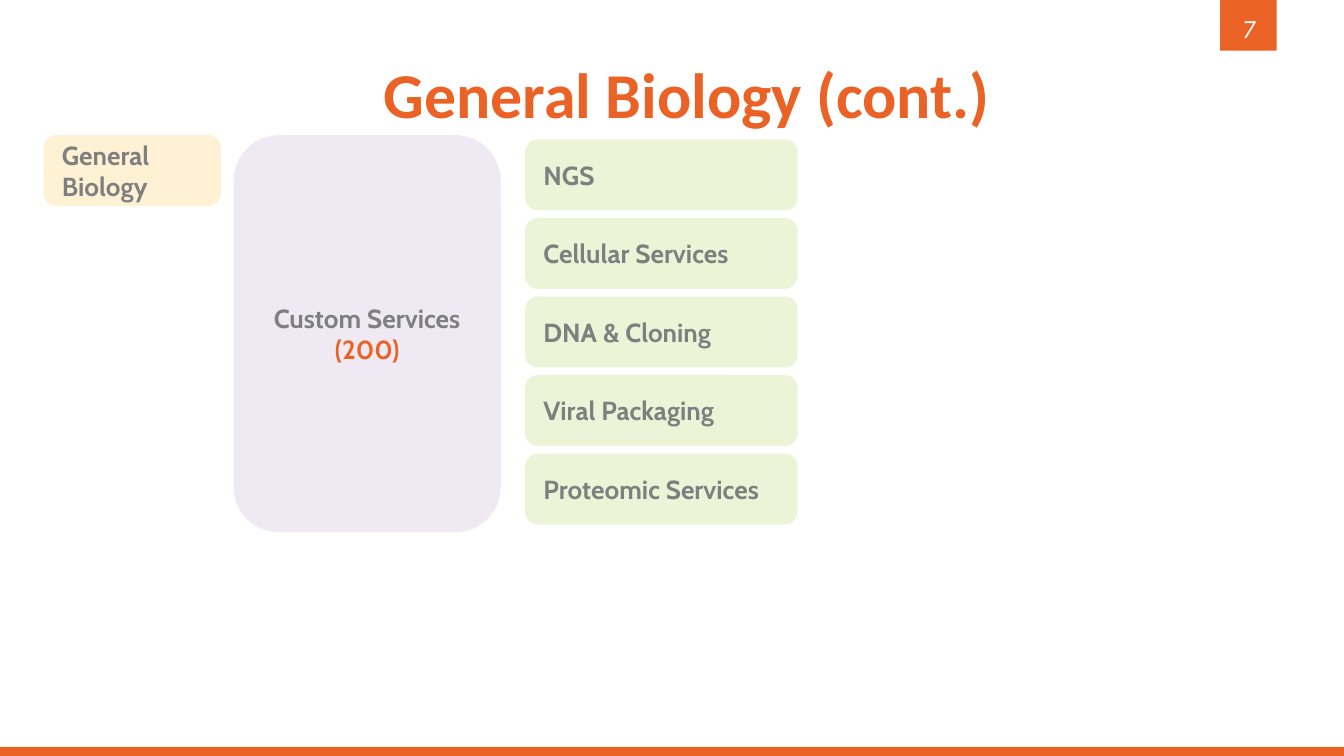
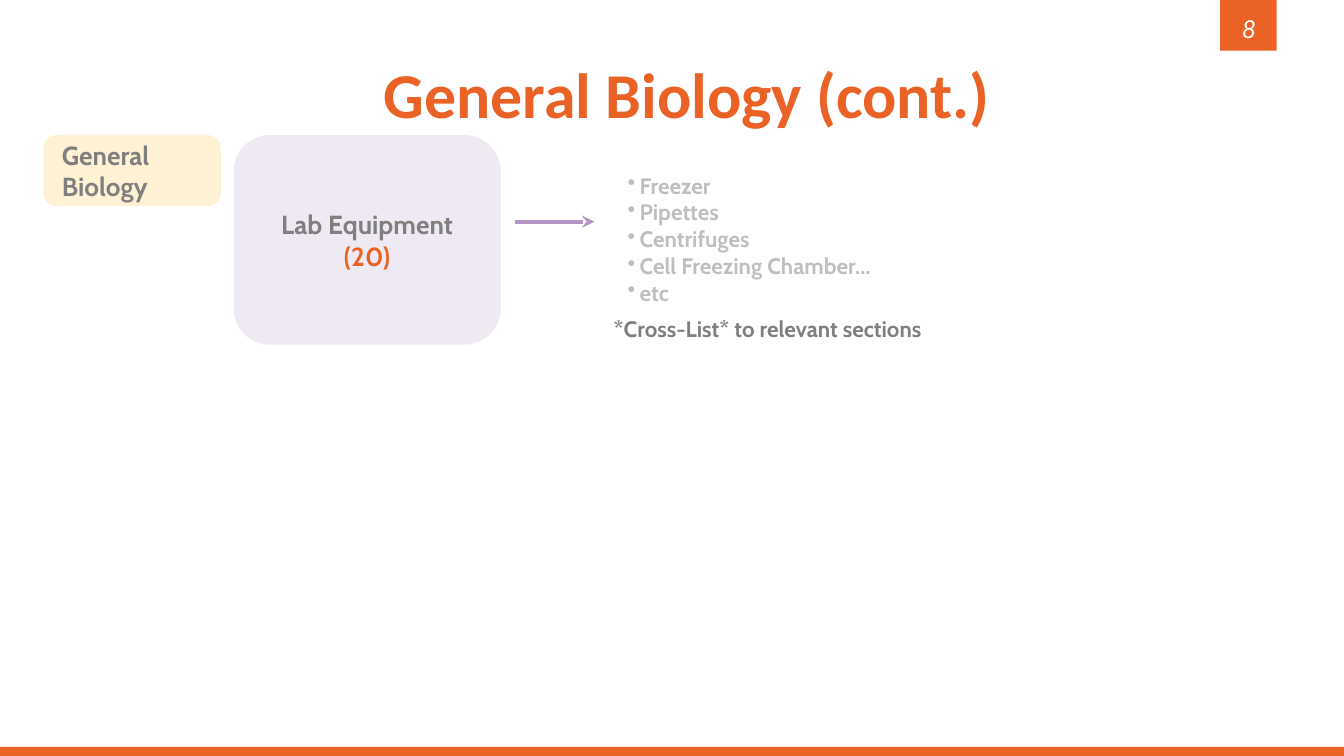
import pptx
import pptx.util
import pptx.oxml
import pptx.oxml.ns
import pptx.dml.color
import pptx.enum.shapes
import pptx.enum.text
from lxml import etree

Cm = pptx.util.Cm
Pt = pptx.util.Pt
RGBColor = pptx.dml.color.RGBColor
MSO_SHAPE = pptx.enum.shapes.MSO_SHAPE
PP_ALIGN = pptx.enum.text.PP_ALIGN
MSO_ANCHOR = pptx.enum.text.MSO_ANCHOR
qn = pptx.oxml.ns.qn

ORANGE = RGBColor(0xEA, 0x62, 0x25)
WHITE = RGBColor(0xFF, 0xFF, 0xFF)
GRAY = RGBColor(0x7F, 0x7F, 0x7F)
LIGHT_GRAY = RGBColor(0xBF, 0xBF, 0xBF)
CREAM = RGBColor(0xFF, 0xF2, 0xD4)
LILAC = RGBColor(0xEF, 0xE9, 0xF3)
LIME = RGBColor(0xED, 0xF3, 0xD6)
PURPLE = RGBColor(0xB3, 0x94, 0xC5)

HEAD_FONT = "Calibri"
BODY_FONT = "Cabin"

SLIDE_W, SLIDE_H = 25.4, 14.29
BAR_H = 0.17
BADGE = (23.06, 0, 1.07, 0.96)
TITLE = (1.55, 0.99, 22.86, 1.52)
TAG = (0.86, 2.59, 3.28, 1.27)
CATEGORY_X, CATEGORY_Y, CATEGORY_W = 4.45, 2.59, 4.98
SERVICE_H = 1.27
BULLET_INDENT = 0.23


def cm(box):
    return [Cm(v) for v in box]


def add_run(p, text, color=GRAY, size=14, font=BODY_FONT, bold=True, italic=False):
    r = p.add_run()
    r.text = text
    r.font.name = font
    r.font.size = Pt(size)
    r.font.bold = bold
    r.font.italic = italic
    r.font.color.rgb = color


def add_text(s, box, anchor=MSO_ANCHOR.TOP):
    tf = s.shapes.add_textbox(*cm(box)).text_frame
    tf.word_wrap = True
    tf.vertical_anchor = anchor
    return tf


def add_block(s, kind, box, fill):
    sp = s.shapes.add_shape(kind, *cm(box))
    sp.shadow.inherit = False
    sp.fill.solid()
    sp.fill.fore_color.rgb = fill
    sp.line.fill.background()
    return sp


def add_card(s, box, fill, paragraphs, align=PP_ALIGN.LEFT):
    sp = add_block(s, MSO_SHAPE.ROUNDED_RECTANGLE, box, fill)
    sp.line.color.rgb = fill
    sp.line.width = Pt(2)
    tf = sp.text_frame
    tf.word_wrap = True
    tf.vertical_anchor = MSO_ANCHOR.MIDDLE
    for i, runs in enumerate(paragraphs):
        p = tf.add_paragraph() if i else tf.paragraphs[0]
        p.alignment = align
        for text, color in runs:
            add_run(p, text, color)


def add_frame(prs, number):
    s = prs.slides.add_slide(prs.slide_layouts[6])
    add_block(s, MSO_SHAPE.RECTANGLE, (0, SLIDE_H - BAR_H, SLIDE_W, BAR_H), ORANGE)
    add_block(s, MSO_SHAPE.RECTANGLE, BADGE, ORANGE)
    left, top, width, height = BADGE
    p = add_text(s, (left, top + 0.15, width, height - 0.2), MSO_ANCHOR.MIDDLE).paragraphs[0]
    p.alignment = PP_ALIGN.CENTER
    add_run(p, str(number), WHITE, font=HEAD_FONT, bold=False, italic=True)
    p = add_text(s, TITLE, MSO_ANCHOR.MIDDLE).paragraphs[0]
    p.alignment = PP_ALIGN.CENTER
    add_run(p, "General Biology (cont.)", ORANGE, 34.2, HEAD_FONT)
    add_card(s, TAG, CREAM, [[("General Biology", GRAY)]])
    return s


def add_category(s, height, paragraphs):
    box = (CATEGORY_X, CATEGORY_Y, CATEGORY_W, height)
    add_card(s, box, LILAC, paragraphs, PP_ALIGN.CENTER)


def add_services(s, box, names):
    left, top, width, height = box
    pitch = (height - SERVICE_H) / (len(names) - 1)
    for i, name in enumerate(names):
        add_card(s, (left, top + i * pitch, width, SERVICE_H), LIME, [[(name, GRAY)]])


def add_bullets(s, box, items):
    tf = add_text(s, box)
    for i, item in enumerate(items):
        p = tf.add_paragraph() if i else tf.paragraphs[0]
        add_run(p, item, LIGHT_GRAY, 12)
        pPr = p._p.get_or_add_pPr()
        pPr.set("marL", str(Cm(BULLET_INDENT)))
        pPr.set("indent", str(-Cm(BULLET_INDENT)))
        color = etree.SubElement(pPr, qn("a:buClr"))
        etree.SubElement(color, qn("a:srgbClr")).set("val", str(LIGHT_GRAY))
        etree.SubElement(pPr, qn("a:buChar")).set("char", "•")


def add_arrow(s, x1, x2, y):
    c = s.shapes.add_connector(pptx.enum.shapes.MSO_CONNECTOR.STRAIGHT, *cm((x1, y, x2, y)))
    c.line.color.rgb = PURPLE
    c.line.width = Pt(2.25)
    etree.SubElement(c.line._get_or_add_ln(), qn("a:tailEnd")).set("type", "stealth")
    etree.SubElement(c._element.spPr, qn("a:effectLst"))


def add_equipment(s, box, items, note):
    left, top, width, height = box
    add_arrow(s, left, left + 1.5, top + 1.07)
    add_bullets(s, (left + 1.88, top, width - 1.88, height), items)
    p = add_text(s, (left + 1.62, top + 2.72, width - 1.62, 0.66)).paragraphs[0]
    add_run(p, note, size=12)


def services_slide(prs):
    s = add_frame(prs, 7)
    add_category(s, 7.44, [[("Custom Services", GRAY)], [("(200)", ORANGE)]])
    add_services(s, (9.96, 2.67, 5.08, 7.21), [
        "NGS", "Cellular Services", "DNA & Cloning", "Viral Packaging", "Proteomic Services"])


def equipment_slide(prs):
    s = add_frame(prs, 8)
    add_category(s, 3.89, [[("Lab Equipment ", GRAY), ("(20)", ORANGE)]])
    add_equipment(
        s, (9.73, 3.12, 10.06, 2.31),
        ["Freezer", "Pipettes", "Centrifuges", "Cell Freezing Chamber...", "etc"],
        "*Cross-List* to relevant sections")


def main():
    prs = pptx.Presentation()
    prs.slide_width, prs.slide_height = Cm(SLIDE_W), Cm(SLIDE_H)
    services_slide(prs)
    equipment_slide(prs)
    prs.save("out.pptx")


if __name__ == "__main__":
    main()
